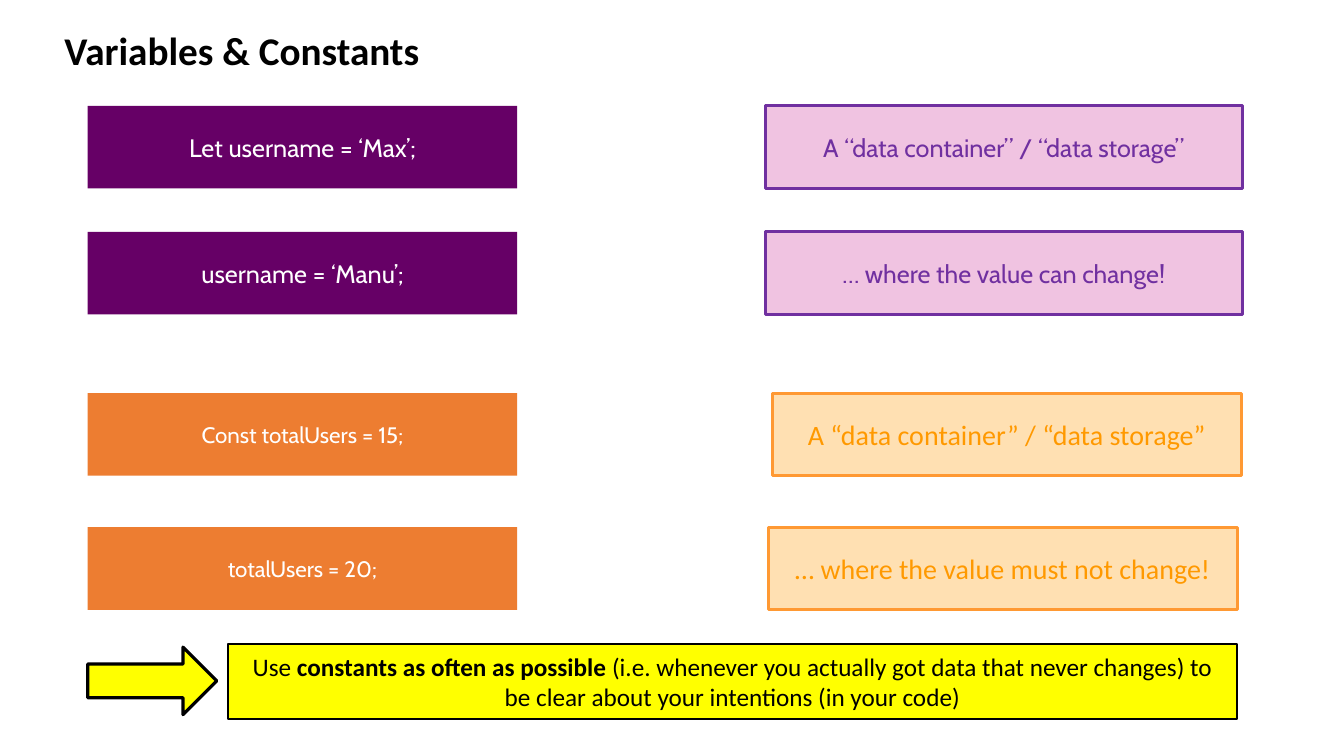
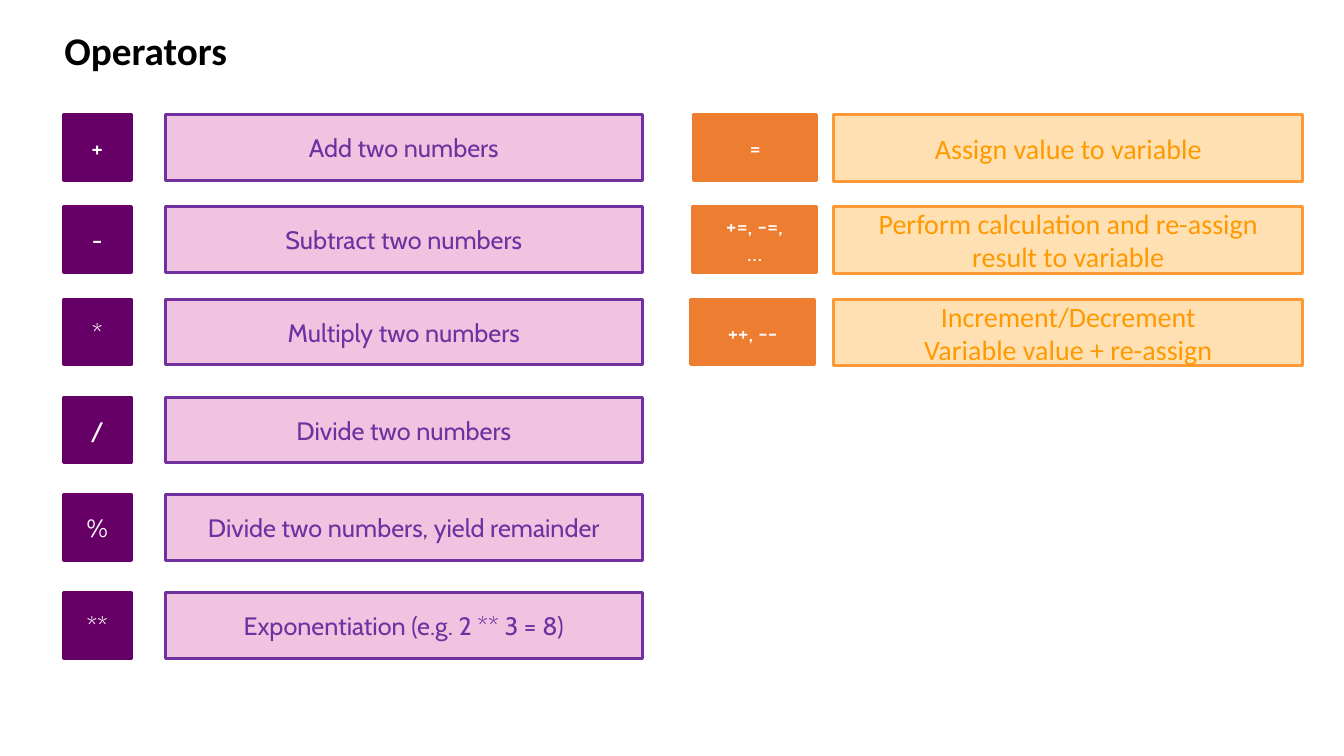
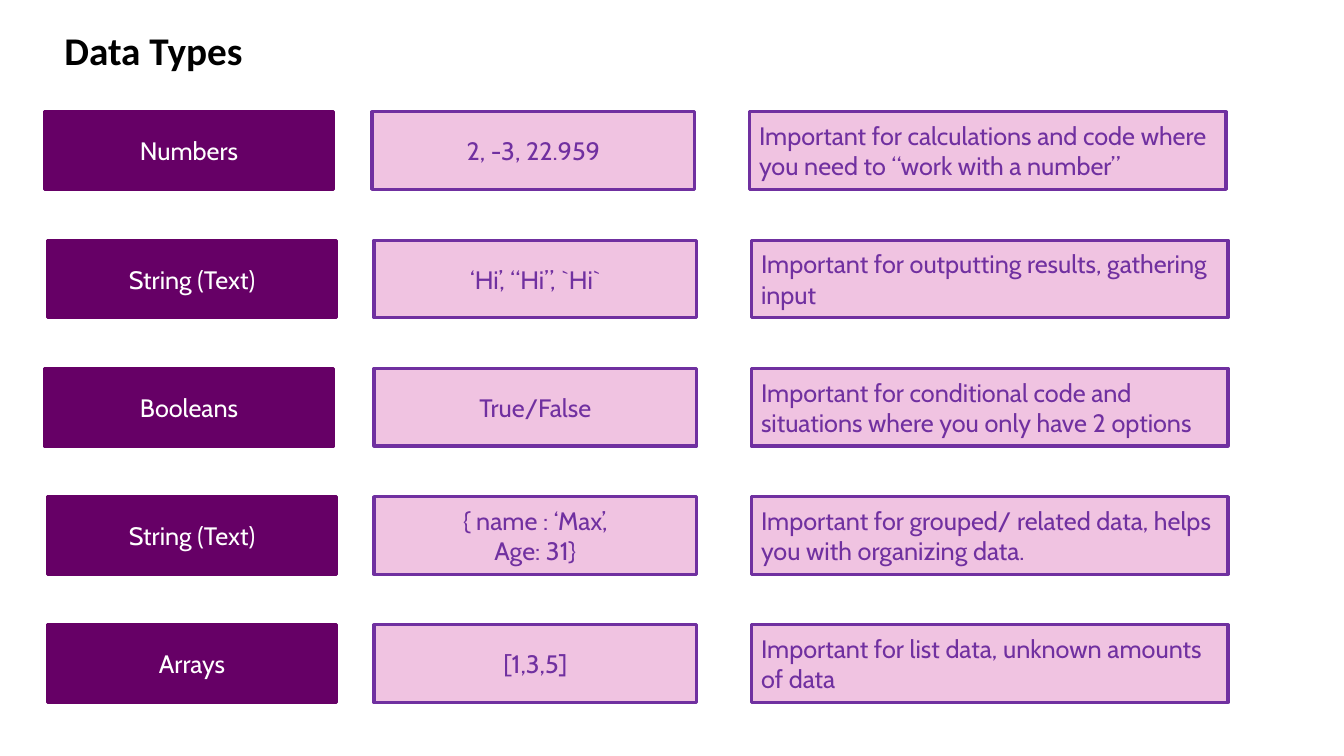
from dataclasses import dataclass

from lxml.etree import SubElement
from pptx import Presentation
from pptx.dml.color import RGBColor
from pptx.enum.shapes import MSO_SHAPE as Shape
from pptx.enum.text import MSO_ANCHOR as Anchor, MSO_AUTO_SIZE as AutoSize, PP_ALIGN as Align
from pptx.oxml.ns import qn
from pptx.util import Inches, Pt


@dataclass(frozen=True)
class BoxStyle:
    fill: str
    line: str
    text: str
    font: str
    size: int
    opacity: int = 100
    line_width: float = 2.25


class Theme:
    title_font = "Calibri"
    title_size = 28
    title_color = "000000"
    purple = BoxStyle("660066", "660066", "FFFFFF", "Cabin", 18)
    pink = BoxStyle("CC3399", "7030A0", "7030A0", "Cabin", 18, opacity=29)
    orange = BoxStyle("ED7D31", "ED7D31", "FFFFFF", "Cabin", 16)
    peach = BoxStyle("FF9900", "FF9933", "FF9900", "Calibri", 20, opacity=30)
    note = BoxStyle("FFFF00", "000000", "000000", "Calibri", 18, line_width=1.5)
    arrow = BoxStyle("FFFF00", "000000", "000000", "Calibri", 18)


class Deck:
    def __init__(self):
        self.presentation = Presentation()
        self.presentation.slide_width = Inches(13.33)
        self.presentation.slide_height = Inches(7.5)
        self.slide = None

    def new_slide(self, title):
        self.slide = self.presentation.slides.add_slide(self.presentation.slide_layouts[6])
        shape = self.slide.shapes.add_textbox(
            Inches(0.54), Inches(0.21), Inches(4.78), Inches(0.57))
        frame = shape.text_frame
        frame.word_wrap = True
        frame.auto_size = AutoSize.SHAPE_TO_FIT_TEXT
        frame.text = title
        self.format_run(frame.paragraphs[0].runs[0], Theme.title_font,
                        Theme.title_size, Theme.title_color, True)

    def format_run(self, run, font, size, color, bold=False):
        run.font.name = font
        run.font.size = Pt(size)
        run.font.bold = bold
        run.font.color.rgb = RGBColor.from_string(color)

    def preset(self, kind, style, left, top, width, height, outlined=True):
        shape = self.slide.shapes.add_shape(
            kind, Inches(left), Inches(top), Inches(width), Inches(height))
        shape.shadow.inherit = False
        shape.fill.solid()
        shape.fill.fore_color.rgb = RGBColor.from_string(style.fill)
        if style.opacity < 100:
            color = shape.fill._xPr.find(qn("a:solidFill"))[0]
            SubElement(color, qn("a:alpha")).set("val", str(style.opacity * 1000))
        if outlined:
            shape.line.color.rgb = RGBColor.from_string(style.line)
            shape.line.width = Pt(style.line_width)
        else:
            shape.line.fill.background()
        return shape

    def box(self, style, text, left, top, width, height,
            align=Align.CENTER, outlined=True, bold_part=None):
        shape = self.preset(Shape.RECTANGLE, style, left, top, width, height, outlined)
        frame = shape.text_frame
        frame.word_wrap = True
        frame.vertical_anchor = Anchor.MIDDLE
        if bold_part:
            before, after = text.split(bold_part)
            for part in (before, bold_part, after):
                frame.paragraphs[0].add_run().text = part
        else:
            frame.text = text
        for paragraph in frame.paragraphs:
            paragraph.alignment = align
            for run in paragraph.runs:
                self.format_run(run, style.font, style.size, style.text,
                                run.text == bold_part)

    def arrow(self, left, top, width, height):
        self.preset(Shape.RIGHT_ARROW, Theme.arrow, left, top, width, height)


def variables_slide(deck):
    deck.new_slide("Variables & Constants")
    rows = [
        (1.05, Theme.purple, "Let username = ‘Max’;",
         Theme.pink, "A “data container” / “data storage”", 7.59, 4.73),
        (2.3, Theme.purple, "username = ‘Manu’;",
         Theme.pink, "… where the value can change!", 7.59, 4.73),
        (3.9, Theme.orange, "Const totalUsers = 15;",
         Theme.peach, "A “data container” / “data storage”", 7.66, 4.65),
        (5.23, Theme.orange, "totalUsers = 20;",
         Theme.peach, "… where the value must not change!", 7.62, 4.65),
    ]
    for top, code_style, code, meaning_style, meaning, left, width in rows:
        deck.box(code_style, code, 0.87, top, 4.26, 0.82, outlined=False)
        deck.box(meaning_style, meaning, left, top, width, 0.82)
    deck.box(Theme.note,
             "Use constants as often as possible (i.e. whenever you actually got data "
             "that never changes) to be clear about your intentions (in your code)",
             2.26, 6.39, 10.01, 0.74, bold_part="constants as often as possible ")
    deck.arrow(0.87, 6.42, 1.28, 0.67)


def operators_slide(deck):
    deck.new_slide("Operators")
    tops = [1.14, 2.05, 2.97, 3.94, 4.91, 5.88]
    arithmetic = [
        ("+", "Add two numbers"),
        ("-", "Subtract two numbers"),
        ("*", "Multiply two numbers"),
        ("/", "Divide two numbers"),
        ("%", "Divide two numbers, yield remainder"),
        ("**", "Exponentiation (e.g. 2 ** 3 = 8)"),
    ]
    assignment = [
        ("=", "Assign value to variable", 6.88, 1.22),
        ("+=, -=,\n…", "Perform calculation and re-assign result to variable", 6.87, 1.23),
        ("++, --", "Increment/Decrement\nVariable value + re-assign", 6.85, 1.23),
    ]
    for top, (symbol, meaning) in zip(tops, arithmetic):
        deck.box(Theme.purple, symbol, 0.63, top, 0.67, 0.65)
        deck.box(Theme.pink, meaning, 1.64, top, 4.73, 0.65)
    for top, (symbol, meaning, left, width) in zip(tops, assignment):
        deck.box(Theme.orange, symbol, left, top, width, 0.65)
        deck.box(Theme.peach, meaning, 8.27, top, 4.65, 0.66)


def data_types_slide(deck):
    deck.new_slide("Data Types")
    first_top, last_top = 1.11, 6.2
    rows = [
        ("Numbers", "2, -3, 22.959",
         "Important for calculations and code where you need to “work with a number”",
         0.44, 3.69, 7.43),
        ("String (Text)", "‘Hi’, “Hi”, `Hi`",
         "Important for outputting results, gathering input", 0.47, 3.71, 7.45),
        ("Booleans", "True/False",
         "Important for conditional code and situations where you only have 2 options",
         0.44, 3.71, 7.45),
        ("String (Text)", "{ name : ‘Max’,\nAge: 31}",
         "Important for grouped/ related data, helps you with organizing data.",
         0.47, 3.71, 7.45),
        ("Arrays", "[1,3,5]",
         "Important for list data, unknown amounts of data", 0.47, 3.71, 7.45),
    ]
    pitch = (last_top - first_top) / (len(rows) - 1)
    for index, (name, example, purpose, name_left, example_left, purpose_left) in enumerate(rows):
        top = first_top + index * pitch
        deck.box(Theme.purple, name, name_left, top, 2.87, 0.77)
        deck.box(Theme.pink, example, example_left, top, 3.2, 0.77)
        deck.box(Theme.pink, purpose, purpose_left, top, 4.73, 0.77, align=Align.LEFT)


def main():
    deck = Deck()
    variables_slide(deck)
    operators_slide(deck)
    data_types_slide(deck)
    deck.presentation.save("out.pptx")


if __name__ == "__main__":
    main()
